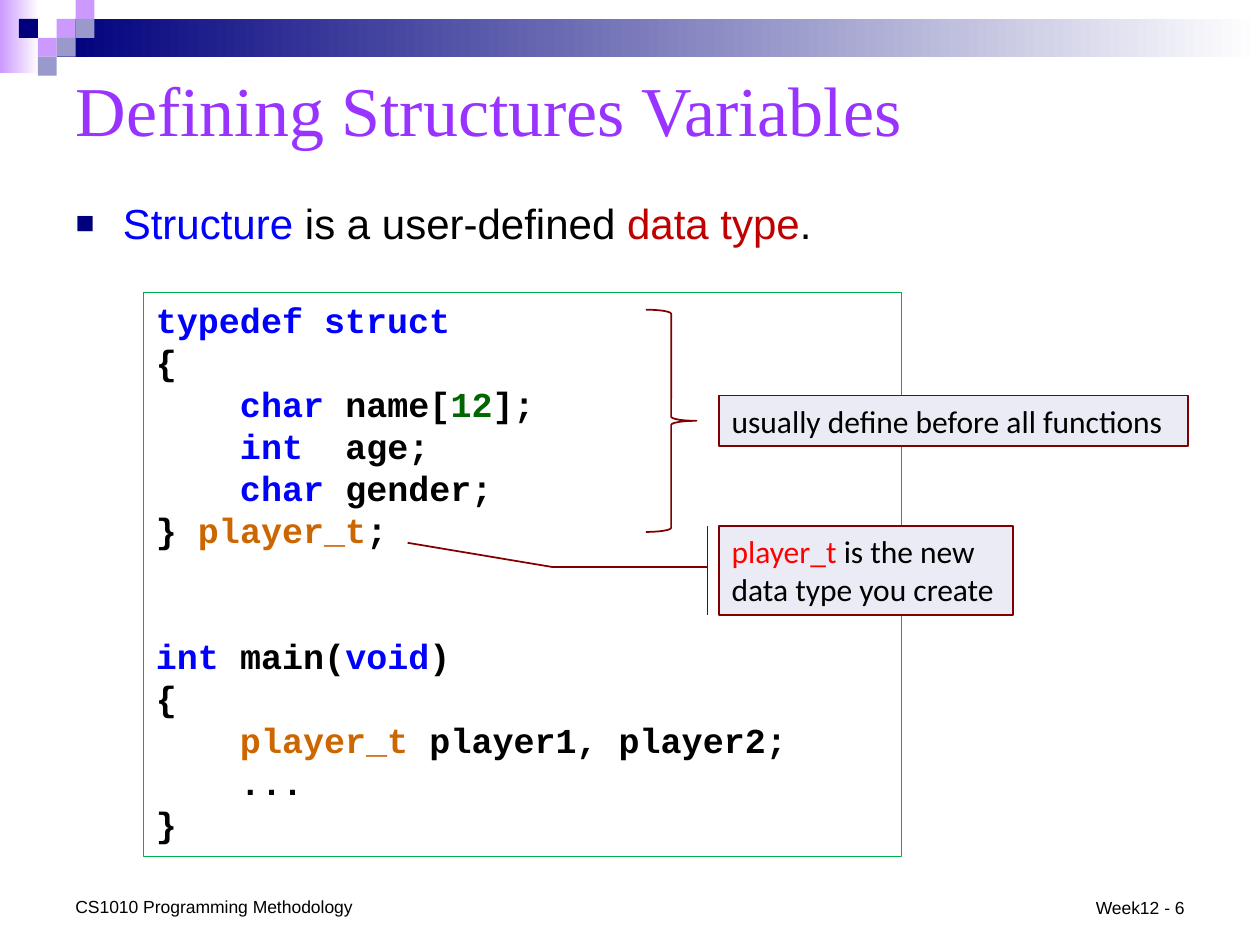
from lxml import etree
from pptx import Presentation
from pptx.dml.color import RGBColor
from pptx.enum.shapes import MSO_SHAPE
from pptx.enum.text import MSO_ANCHOR, MSO_AUTO_SIZE, PP_ALIGN
from pptx.oxml.ns import qn
from pptx.util import Pt

RECT = MSO_SHAPE.RECTANGLE
BRACE = MSO_SHAPE.RIGHT_BRACE
CALLOUT = MSO_SHAPE.LINE_CALLOUT_2_BORDER_AND_ACCENT_BAR
TOP, MIDDLE, BOTTOM = MSO_ANCHOR.TOP, MSO_ANCHOR.MIDDLE, MSO_ANCHOR.BOTTOM
LEFT, RIGHT = PP_ALIGN.LEFT, PP_ALIGN.RIGHT
NO_FIT = MSO_AUTO_SIZE.NONE

COLORS = {
    "white": "FFFFFF", "black": "000000", "navy": "00007D", "lilac": "CC99FF",
    "slate": "9999CC", "purple": "9933FF", "blue": "0000FF", "crimson": "C00000",
    "green": "006600", "orange": "CC6600", "red": "FF0000", "maroon": "800000",
    "frame": "00B050", "pale": "EBEBF5",
}

TITLE = {"name": "Times New Roman", "size": Pt(40)}
BODY = {"name": "Arial", "size": Pt(24)}
SMALL = {"name": "Arial", "size": Pt(10)}
CODE = {"name": "Courier New", "size": Pt(20), "bold": True}
NOTE = {"name": "Calibri", "size": Pt(18)}

CELL = 10.8
TILES = [
    (3, 1, "lilac"), (4, 0, "lilac"), (4, 1, "slate"), (2, 2, "lilac"),
    (1, 1, "navy"), (3, 2, "slate"), (2, 3, "slate"),
]

STRUCT = [
    [("typedef struct", "blue")],
    [("{", "black")],
    [("    char ", "blue"), ("name[", "black"), ("12", "green"), ("];", "black")],
    [("    int  ", "blue"), ("age;", "black")],
    [("    char ", "blue"), ("gender;", "black")],
    [("} ", "black"), ("player_t", "orange"), (";", "black")],
]
MAIN = [
    [("int", "blue"), (" main(", "black"), ("void", "blue"), (")", "black")],
    [("{", "black")],
    [("    player_t ", "orange"), ("player1, player2;", "black")],
    [("    ...", "black")],
    [("}", "black")],
]


def rgb(name):
    return RGBColor.from_string(COLORS[name])


def apply(item, values):
    for key, value in values.items():
        setattr(item, key, value)


def place(shape, box):
    keys = ("left", "top", "width", "height")
    apply(shape, dict(zip(keys, map(Pt, box))))


def write(shape, lines, font, anchor=TOP, align=LEFT, wrap=True):
    """Fill a shape with lines, each a list of (text, colour) runs."""
    frame = shape.text_frame
    apply(frame, {"auto_size": NO_FIT, "word_wrap": wrap,
                  "vertical_anchor": anchor})
    for num, line in enumerate(lines):
        para = frame.add_paragraph() if num else frame.paragraphs[0]
        para.alignment = align
        for text, color in line:
            run = para.add_run()
            run.text = text
            apply(run.font, font)
            run.font.color.rgb = rgb(color)
    return frame.paragraphs


def add_shape(slide, kind, box, fill=None, line=None, width=1, adjust=()):
    shape = slide.shapes.add_shape(kind, *map(Pt, box))
    shape.shadow.inherit = False
    if fill:
        shape.fill.solid()
        shape.fill.fore_color.rgb = rgb(fill)
    else:
        shape.fill.background()
    if line:
        shape.line.color.rgb = rgb(line)
        shape.line.width = Pt(width)
    else:
        shape.line.fill.background()
    for num, value in enumerate(adjust):
        shape.adjustments[num] = value
    return shape


def add_fade(slide, box, color):
    """Add a bar that fades from a colour to white, left to right."""
    fill = add_shape(slide, RECT, box).fill
    fill.gradient()
    fill.gradient_angle = 0
    for stop, name in zip(fill.gradient_stops, (color, "white")):
        stop.color.rgb = rgb(name)


def add_banner(slide):
    add_fade(slide, (0, 0, 22.5, 42), "lilac")
    add_fade(slide, (32.4, CELL, 687.6, 21.6), "navy")
    for col, row, color in TILES:
        add_shape(slide, RECT, (col * CELL, row * CELL, CELL, CELL), color)


def set_bullet(para):
    props = para._p.get_or_add_pPr()
    props.set("marL", str(Pt(27)))
    props.set("indent", str(-Pt(27)))
    color = etree.SubElement(props, qn("a:buClr"))
    etree.SubElement(color, qn("a:srgbClr"), val=COLORS["navy"])
    etree.SubElement(props, qn("a:buSzPct"), val="75000")
    etree.SubElement(props, qn("a:buFont"), typeface="Arial")
    etree.SubElement(props, qn("a:buChar"), char="■")


def add_heads(slide):
    title, body = slide.shapes.title, slide.placeholders[1]
    place(title, (36, 30, 648, 63.5))
    write(title, [[("Defining Structures Variables", "purple")]], TITLE, MIDDLE)
    place(body, (36, 109, 648, 36))
    para = write(body, [[("Structure ", "blue"), ("is a user-defined ", "black"),
                         ("data type", "crimson"), (".", "black")]], BODY)[0]
    para.space_before = Pt(0)
    set_bullet(para)


def add_footer(slide, box, text, **layout):
    shape = slide.shapes.add_textbox(*map(Pt, box))
    write(shape, [[(text, "black")]], SMALL, **layout)


def add_code(slide):
    shape = add_shape(slide, RECT, (82, 167, 433, 322.5), "white", "frame", 0.75)
    paras = write(shape, STRUCT + MAIN, CODE)
    for para in paras:
        para.line_spacing = Pt(24)
    paras[len(STRUCT)].space_before = Pt(48)


def add_notes(slide):
    add_shape(slide, BRACE, (369, 177, 29, 127), None, "maroon",
              adjust=(0.08, 0.5))
    label = add_shape(slide, RECT, (411, 226, 268, 29), "pale", "maroon")
    write(label, [[("usually define before all functions", "black")]], NOTE)
    call = add_shape(slide, CALLOUT, (411, 300.5, 168, 51), "pale", "maroon",
                     adjust=(0.46, -0.04, 0.46, -0.57, 0.19, -1.06))
    write(call, [[("player_t ", "red"),
                  ("is the new data type you create", "black")]], NOTE)


def main():
    deck = Presentation()
    apply(deck, {"slide_width": Pt(720), "slide_height": Pt(540)})
    slide = deck.slides.add_slide(deck.slide_layouts[1])
    add_banner(slide)
    add_heads(slide)
    add_footer(slide, (36, 508.5, 174, 19.5), "CS1010 Programming Methodology")
    add_footer(slide, (618, 508.5, 66, 19.5), "Week12 - 6",
               anchor=BOTTOM, align=RIGHT, wrap=False)
    add_code(slide)
    add_notes(slide)
    deck.save("out.pptx")


if __name__ == "__main__":
    main()
